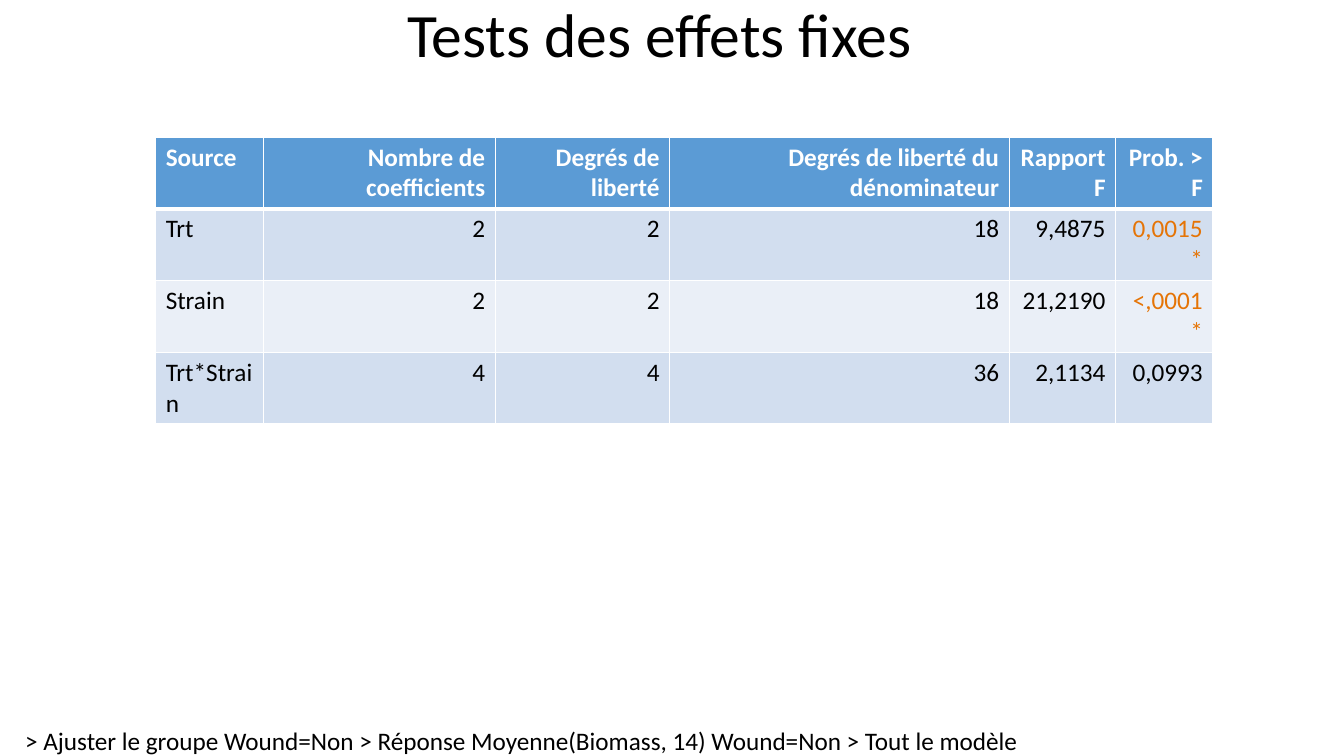
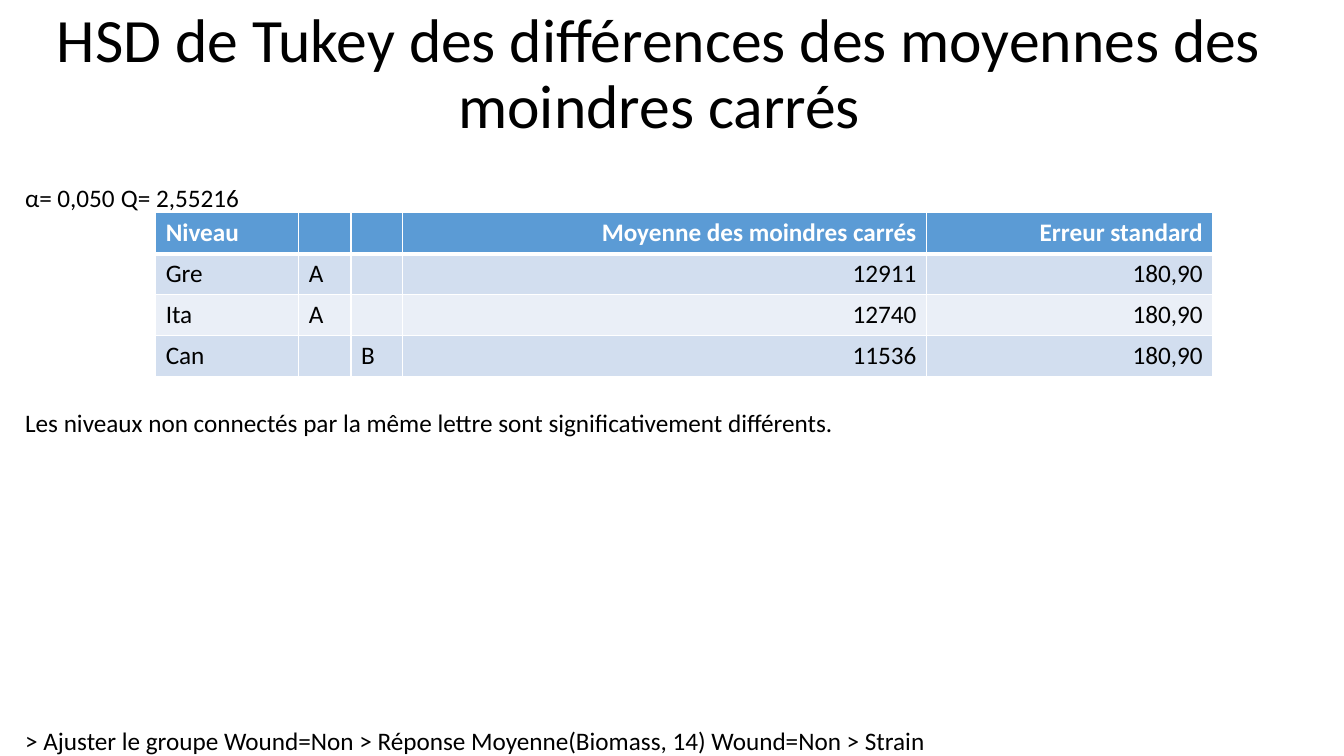
"""Build two slides of statistical results, each with a title, a table and a footer."""
import pptx
import pptx.dml.color
import pptx.enum.text
import pptx.oxml
import pptx.oxml.ns
import pptx.util

Pt = pptx.util.Pt
RGBColor = pptx.dml.color.RGBColor
PP_ALIGN = pptx.enum.text.PP_ALIGN
MSO_ANCHOR = pptx.enum.text.MSO_ANCHOR
MSO_AUTO_SIZE = pptx.enum.text.MSO_AUTO_SIZE

BLACK = RGBColor(0x00, 0x00, 0x00)
WHITE = RGBColor(0xFF, 0xFF, 0xFF)
ORANGE = RGBColor(0xE5, 0x74, 0x06)
HEADER = RGBColor(0x5B, 0x9B, 0xD5)
BANDS = (RGBColor(0xD2, 0xDE, 0xEF), RGBColor(0xEA, 0xEF, 0xF7))


class Deck:
    FONT = "Calibri"
    BODY, TITLE = 18, 44
    MARGIN, LINE, FOOTER_TOP = 18, 22, 518
    TABLE_LEFT = 111.2

    def __init__(self):
        self.prs = pptx.Presentation()
        self.prs.slide_width, self.prs.slide_height = Pt(960), Pt(540)
        self.s = None

    def style(self, p, size=BODY, color=BLACK, bold=False):
        for r in p.runs:
            r.font.name = self.FONT
            r.font.size = Pt(size)
            r.font.color.rgb = color
            r.font.bold = bold

    def slide(self, title, height, footer):
        self.s = self.prs.slides.add_slide(self.prs.slide_layouts[5])
        sp = self.s.shapes.title
        sp.left, sp.top, sp.width, sp.height = Pt(0), Pt(0), Pt(942), Pt(height)
        tf = sp.text_frame
        tf.text = title
        tf.word_wrap = True
        tf.auto_size = MSO_AUTO_SIZE.NONE
        tf.vertical_anchor = MSO_ANCHOR.MIDDLE
        p = tf.paragraphs[0]
        p.alignment = PP_ALIGN.CENTER
        p.line_spacing = 0.9
        self.style(p, self.TITLE)
        self.label(footer, self.FOOTER_TOP, 720)

    def label(self, text, top, width, left=MARGIN):
        sp = self.s.shapes.add_textbox(Pt(left), Pt(top), Pt(width), Pt(self.LINE))
        tf = sp.text_frame
        tf.margin_left = tf.margin_right = tf.margin_top = tf.margin_bottom = 0
        tf.word_wrap = False
        tf.auto_size = MSO_AUTO_SIZE.NONE
        tf.text = text
        p = tf.paragraphs[0]
        p.alignment = PP_ALIGN.LEFT
        self.style(p)

    def borders(self, cell, top, bottom):
        props = cell._tc.get_or_add_tcPr()
        edges = (("lnL", 1), ("lnR", 1), ("lnT", top), ("lnB", bottom))
        for i, (tag, width) in enumerate(edges):
            props.insert(i, pptx.oxml.parse_xml(
                f'<a:{tag} {pptx.oxml.ns.nsdecls("a")} w="{Pt(width)}">'
                f'<a:solidFill><a:srgbClr val="{WHITE}"/></a:solidFill></a:{tag}>'))

    def table(self, top, widths, row_height, rows, first_number):
        frame = self.s.shapes.add_table(
            len(rows), len(widths), Pt(self.TABLE_LEFT), Pt(top),
            Pt(sum(widths)), Pt(row_height * len(rows)))
        table = frame.table
        for column, width in zip(table.columns, widths):
            column.width = Pt(width)
        for i, row in enumerate(rows):
            table.rows[i].height = Pt(row_height)
            for j, text in enumerate(row):
                cell = table.cell(i, j)
                cell.fill.solid()
                cell.fill.fore_color.rgb = BANDS[(i - 1) % 2] if i else HEADER
                self.borders(cell, 3 if i == 1 else 1, 1 if i else 3)
                cell.text_frame.text = text
                p = cell.text_frame.paragraphs[0]
                p.alignment = PP_ALIGN.RIGHT if j >= first_number else PP_ALIGN.LEFT
                body_color = ORANGE if text.endswith("*") else BLACK
                self.style(p, color=body_color if i else WHITE, bold=i == 0)


def main():
    deck = Deck()
    breadcrumb = "> Ajuster le groupe Wound=Non > Réponse Moyenne(Biomass, 14) Wound=Non > "

    deck.slide("Tests des effets fixes", 54, breadcrumb + "Tout le modèle")
    deck.table(98, (77, 165.6, 124.5, 242.6, 76, 69.5), 51.2, (
        ("Source", "Nombre de coefficients", "Degrés de liberté",
         "Degrés de liberté du dénominateur", "Rapport F", "Prob. > F"),
        ("Trt", "2", "2", "18", "9,4875", "0,0015*"),
        ("Strain", "2", "2", "18", "21,2190", "<,0001*"),
        ("Trt*Strain", "4", "4", "36", "2,1134", "0,0993"),
    ), first_number=1)

    deck.slide("HSD de Tukey des différences des moyennes des moindres carrés", 108,
               breadcrumb + "Strain")
    for text, left, width in (("α=", 18, 22), ("0,050", 41, 44),
                              ("Q=", 86.4, 24), ("2,55216", 111.6, 64)):
        deck.label(text, 130, width, left)
    deck.table(152, (102.2, 37.4, 36.7, 374.4, 204.5), 28.8, (
        ("Niveau", "", "", "Moyenne des moindres carrés", "Erreur standard"),
        ("Gre", "A", "", "12911", "180,90"),
        ("Ita", "A", "", "12740", "180,90"),
        ("Can", "", "B", "11536", "180,90"),
    ), first_number=3)
    deck.label("Les niveaux non connectés par la même lettre sont significativement "
               "différents.", 291, 590)

    deck.prs.save("out.pptx")


if __name__ == "__main__":
    main()
